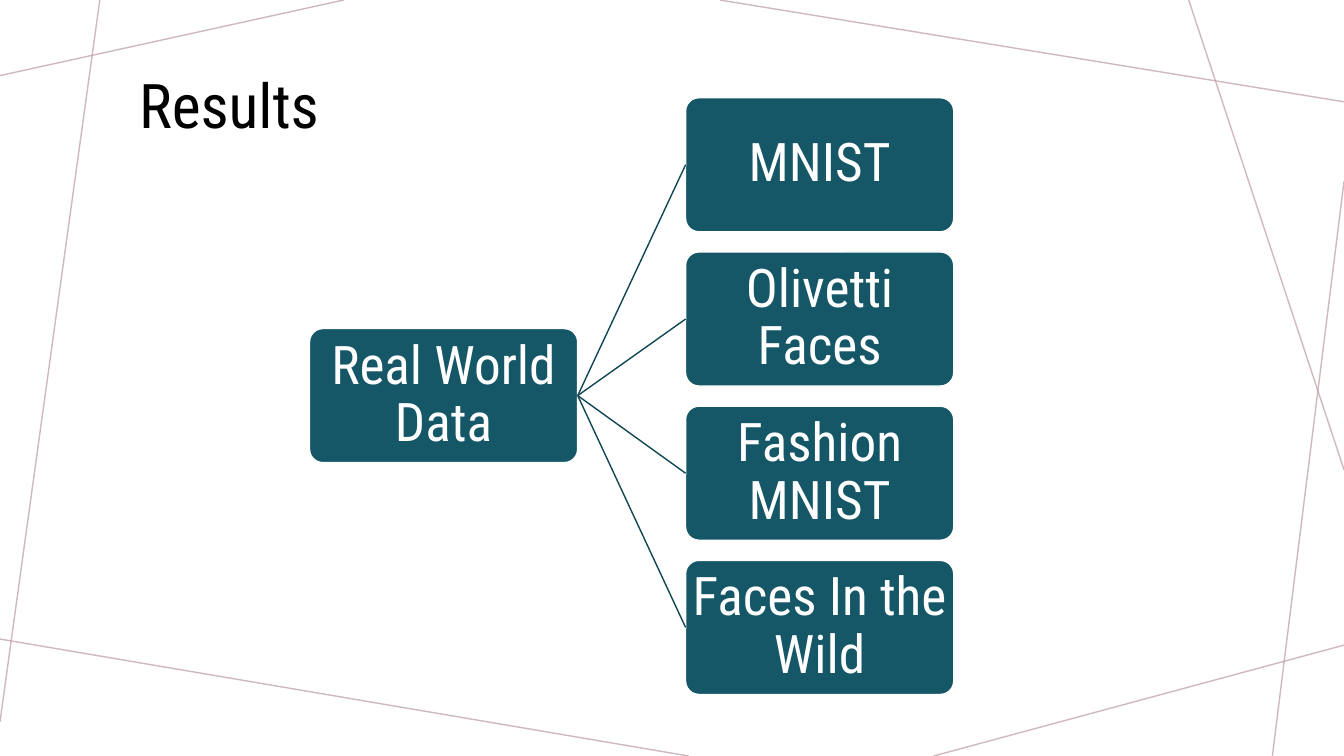
from lxml.etree import SubElement
from pptx import Presentation
from pptx.dml.color import RGBColor
from pptx.enum.shapes import MSO_CONNECTOR, MSO_SHAPE
from pptx.enum.text import MSO_ANCHOR, PP_ALIGN
from pptx.oxml.ns import qn
from pptx.util import Inches, Pt

COLORS = {
    "frame": "BA9CA0",
    "box": "155767",
    "branch": "114652",
    "white": "FFFFFF",
    "title": "000000",
}
FONT = "Roboto Condensed"
FRAME_LINES = [
    (3.41, 0, 0, 0.75),
    (0.99, 0, 0, 7.16),
    (6.83, 7.5, 0, 6.34),
    (13.33, 6.4, 9.26, 7.5),
    (13.33, 1.8, 12.62, 7.5),
    (13.33, 4.66, 11.79, 0),
    (13.33, 1.01, 7.14, 0),
]
DATASETS = ["MNIST", "Olivetti Faces", "Fashion MNIST", "Faces In the Wild"]
BOX_WIDTH, BOX_HEIGHT = 2.66, 1.33
ROOT_LEFT, ROOT_TOP = 3.07, 3.26
DATASET_LEFT, DATASET_TOP, DATASET_STEP = 6.8, 0.97, 1.53


def color(name):
    return RGBColor.from_string(COLORS[name])


def add_text(para, text, size, color_name):
    span = para.add_run()
    span.text = text
    span.font.name = FONT
    span.font.size = Pt(size)
    span.font.color.rgb = color(color_name)


def add_line(page, color_name, start_x=0, start_y=0, end_x=0, end_y=0):
    line = page.shapes.add_connector(
        MSO_CONNECTOR.STRAIGHT,
        Inches(start_x), Inches(start_y), Inches(end_x), Inches(end_y),
    )
    line.line.color.rgb = color(color_name)
    line.line.width = Pt(1)
    SubElement(line._element.spPr, qn("a:effectLst"))
    return line


def add_frame_line(page, ends):
    line = add_line(page, "frame", *ends)
    shade = line._element.spPr.find(".//" + qn("a:srgbClr"))
    SubElement(shade, qn("a:alpha"), val="70000")


def add_title(page, text):
    title = page.shapes.title
    title.left, title.top = Inches(1.28), Inches(0.61)
    title.width, title.height = Inches(10.31), Inches(0.84)
    title.text_frame.vertical_anchor = MSO_ANCHOR.TOP
    para = title.text_frame.paragraphs[0]
    para.alignment = PP_ALIGN.LEFT
    add_text(para, text, 44, "title")


def add_box(page, text, left, top):
    box = page.shapes.add_shape(
        MSO_SHAPE.ROUNDED_RECTANGLE,
        Inches(left), Inches(top), Inches(BOX_WIDTH), Inches(BOX_HEIGHT),
    )
    box.adjustments[0] = 0.1
    box.shadow.inherit = False
    box.fill.solid()
    box.fill.fore_color.rgb = color("box")
    box.line.color.rgb = color("white")
    box.line.width = Pt(1)
    frame = box.text_frame
    frame.word_wrap = True
    frame.vertical_anchor = MSO_ANCHOR.MIDDLE
    frame.margin_left = frame.margin_right = Inches(0.03)
    frame.margin_top = frame.margin_bottom = Inches(0.03)
    para = frame.paragraphs[0]
    para.alignment = PP_ALIGN.CENTER
    para.line_spacing = 0.9
    add_text(para, text, 38, "white")
    return box


def add_branch(page, root, dataset):
    branch = add_line(page, "branch")
    branch.begin_connect(root, 3)
    branch.end_connect(dataset, 1)


def main():
    deck = Presentation()
    deck.slide_width, deck.slide_height = Inches(13.33), Inches(7.5)
    page = deck.slides.add_slide(deck.slide_layouts[5])
    for ends in FRAME_LINES:
        add_frame_line(page, ends)
    add_title(page, "Results")
    root = add_box(page, "Real World Data", ROOT_LEFT, ROOT_TOP)
    for row, name in enumerate(DATASETS):
        dataset = add_box(page, name, DATASET_LEFT, DATASET_TOP + row * DATASET_STEP)
        add_branch(page, root, dataset)
    deck.save("out.pptx")


if __name__ == "__main__":
    main()
